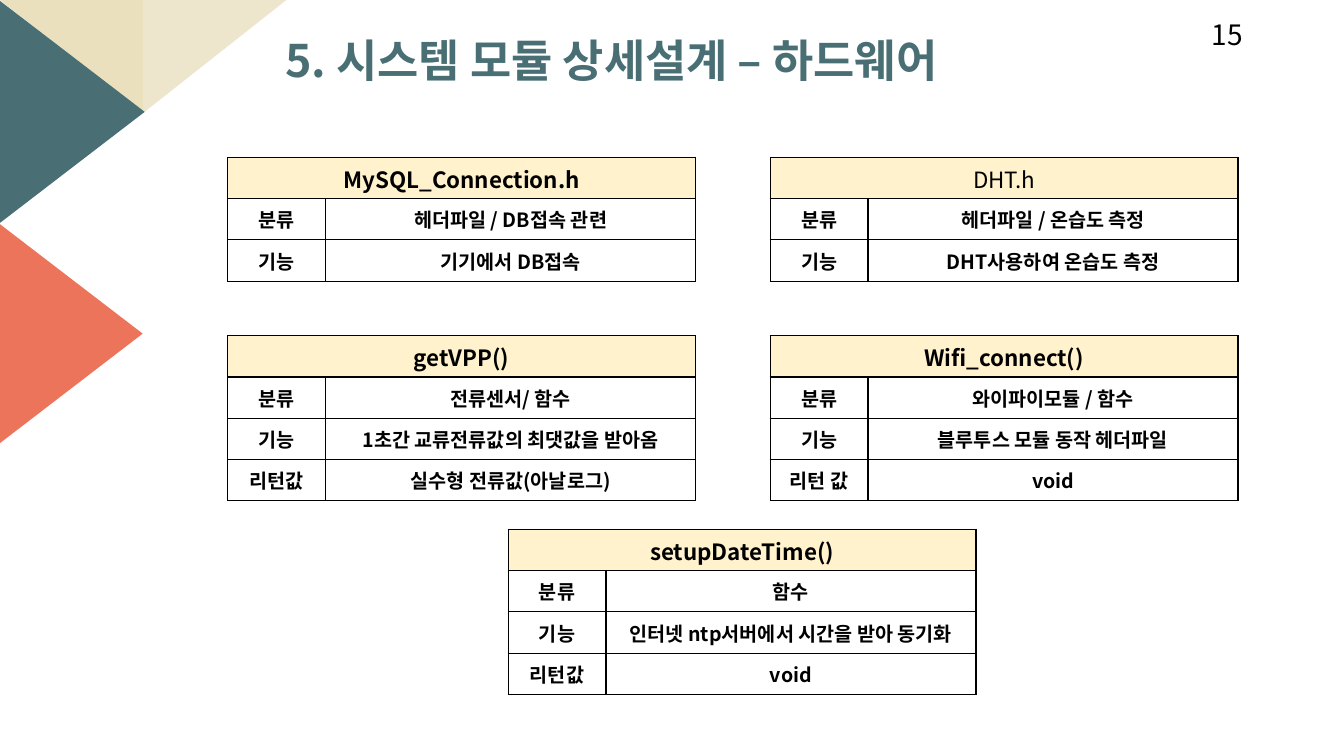
from lxml.etree import SubElement
from pptx import Presentation
from pptx.dml.color import RGBColor
from pptx.enum.shapes import MSO_SHAPE
from pptx.enum.text import MSO_ANCHOR, PP_ALIGN
from pptx.oxml.ns import qn
from pptx.util import Inches, Pt

# Content
TITLE = "5. 시스템 모듈 상세설계 – 하드웨어"
PAGE_NUMBER = "15"
LEFT, RIGHT, MIDDLE = 2.26, 7.64, 5.04
UPPER, CENTER, LOWER = 1.56, 3.33, 5.25
# left, top, heading, heading is bold, rows
MODULES = [
    (LEFT, UPPER, "MySQL_Connection.h", True, [
        ("분류", "헤더파일 / DB접속 관련"),
        ("기능", "기기에서 DB접속")]),
    (LEFT, CENTER, "getVPP()", True, [
        ("분류", "전류센서/ 함수"),
        ("기능", "1초간 교류전류값의 최댓값을 받아옴"),
        ("리턴값", "실수형 전류값(아날로그)")]),
    (RIGHT, UPPER, "DHT.h", False, [
        ("분류", "헤더파일 / 온습도 측정"),
        ("기능", "DHT사용하여 온습도 측정")]),
    (RIGHT, CENTER, "Wifi_connect()", True, [
        ("분류", "와이파이모듈 / 함수"),
        ("기능", "블루투스 모듈 동작 헤더파일"),
        ("리턴 값", "void")]),
    (MIDDLE, LOWER, "setupDateTime()", True, [
        ("분류", "함수"),
        ("기능", "인터넷 ntp서버에서 시간을 받아 동기화"),
        ("리턴값", "void")]),
]
COLUMN_WIDTHS = (0.97, 3.67)
ROW_HEIGHT = 0.41

THEME = {
    "font": "Noto Sans CJK KR",
    "teal": "496F74", "coral": "EC745B", "sand": "EAE0BE", "pale sand": "EEE6CC",
    "heading fill": "FFF2CC", "cell fill": "FFFFFF", "ink": "000000",
    "title size": 32, "number size": 20, "heading size": 16, "cell size": 14,
}
# preset, left, top, width, height, rotation, flipped, colour
TRIANGLES = [
    (MSO_SHAPE.RIGHT_TRIANGLE, 0, 0, 1.42, 1.12, 180, False, "sand"),
    (MSO_SHAPE.RIGHT_TRIANGLE, 1.42, 0, 1.42, 1.12, 180, True, "pale sand"),
    (MSO_SHAPE.ISOSCELES_TRIANGLE, -0.39, 0.39, 2.21, 1.44, 90, False, "teal"),
    (MSO_SHAPE.ISOSCELES_TRIANGLE, -0.41, 2.59, 2.21, 1.44, 90, False, "coral"),
]


def color(name):
    return RGBColor.from_string(THEME[name])


def write(frame, text, *, size, ink="ink", bold=False, align=PP_ALIGN.LEFT, spacing=None):
    paragraph = frame.paragraphs[0]
    paragraph.alignment = align
    if spacing:
        paragraph.line_spacing = spacing
    run = paragraph.add_run()
    run.text = text
    run.font.size = Pt(THEME[size])
    run.font.bold = bold
    run.font.color.rgb = color(ink)
    run.font.name = THEME["font"]
    properties = run.font._element
    SubElement(properties, qn("a:ea")).set("typeface", THEME["font"])


def add_text(slide, text, left, top, width, height, **style):
    box = slide.shapes.add_textbox(Inches(left), Inches(top), Inches(width), Inches(height))
    frame = box.text_frame
    frame.word_wrap = True
    frame.vertical_anchor = MSO_ANCHOR.MIDDLE
    write(frame, text, spacing=0.9, **style)


def add_triangle(slide, preset, left, top, width, height, rotation, flipped, fill):
    shape = slide.shapes.add_shape(
        preset, Inches(left), Inches(top), Inches(width), Inches(height))
    shape.shadow.inherit = False
    shape.rotation = rotation
    if flipped:
        shape.element.spPr.find(qn("a:xfrm")).set("flipH", "1")
    shape.fill.solid()
    shape.fill.fore_color.rgb = color(fill)
    shape.line.fill.background()


def style_cell(cell, fill):
    properties = cell._tc.get_or_add_tcPr()
    for side in ("lnL", "lnR", "lnT", "lnB"):
        border = SubElement(properties, qn(f"a:{side}"), w=str(Pt(1)))
        line_fill = SubElement(border, qn("a:solidFill"))
        SubElement(line_fill, qn("a:srgbClr"), val=THEME["ink"])
    cell.fill.solid()
    cell.fill.fore_color.rgb = color(fill)
    cell.vertical_anchor = MSO_ANCHOR.MIDDLE


def add_module(slide, left, top, heading, heading_bold, rows):
    row_count = len(rows) + 1
    table = slide.shapes.add_table(
        row_count, len(COLUMN_WIDTHS), Inches(left), Inches(top),
        Inches(sum(COLUMN_WIDTHS)), Inches(ROW_HEIGHT * row_count)).table
    for column, width in zip(table.columns, COLUMN_WIDTHS):
        column.width = Inches(width)
    for row in table.rows:
        row.height = Inches(ROW_HEIGHT)

    # Heading across both columns
    table.cell(0, 0).merge(table.cell(0, 1))
    for cell in table.rows[0].cells:
        style_cell(cell, "heading fill")
    write(table.cell(0, 0).text_frame, heading, size="heading size",
          bold=heading_bold, align=PP_ALIGN.CENTER)

    # Label and description rows
    for row_index, texts in enumerate(rows, start=1):
        for column_index, text in enumerate(texts):
            cell = table.cell(row_index, column_index)
            style_cell(cell, "cell fill")
            write(cell.text_frame, text, size="cell size", bold=True, align=PP_ALIGN.CENTER)


def main():
    presentation = Presentation()
    presentation.slide_width = Inches(13.33)
    presentation.slide_height = Inches(7.5)
    slide = presentation.slides.add_slide(presentation.slide_layouts[6])

    # Corner decoration
    for triangle in TRIANGLES:
        add_triangle(slide, *triangle)

    # Title, module tables and page number
    add_text(slide, TITLE, 2.73, 0.33, 8.17, 0.59, size="title size", ink="teal", bold=True)
    for module in MODULES:
        add_module(slide, *module)
    add_text(slide, PAGE_NUMBER, 11.92, 0.16, 1.29, 0.4, size="number size")

    presentation.save("out.pptx")


if __name__ == "__main__":
    main()
